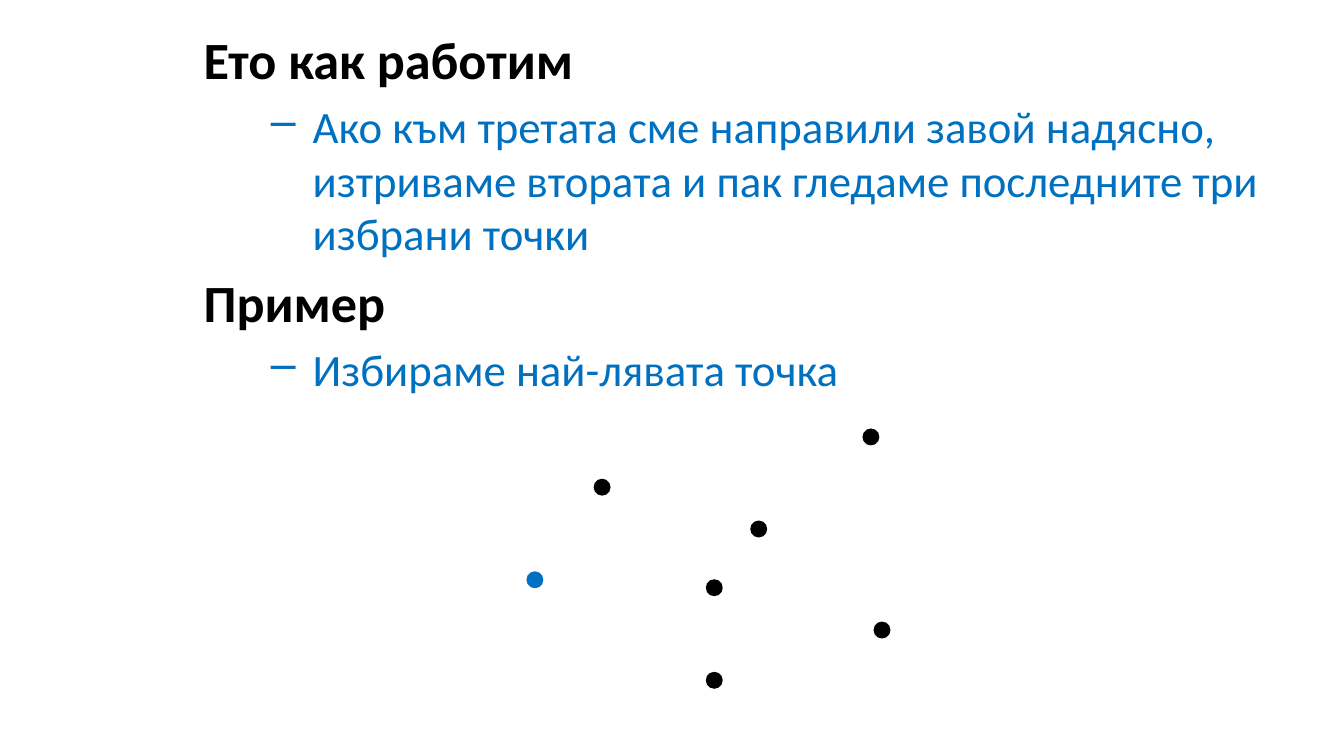
"""Build a slide on the convex hull steps with a text block and sample points."""
from typing import NamedTuple

import lxml.etree
import pptx
import pptx.dml.color
import pptx.enum.shapes
import pptx.oxml.ns
import pptx.util

Cm = pptx.util.Cm
Pt = pptx.util.Pt
BLACK = "000000"
BLUE = "0070C0"
SIZE = 0.32
HEAD = {"size": Pt(28), "bold": True, "name": "Calibri"}
ITEM = {"size": Pt(24), "bold": False, "name": "Calibri"}
FRAME = {
    "word_wrap": True,
    "margin_left": Cm(0.25),
    "margin_right": Cm(0.25),
    "margin_top": Cm(0.13),
    "margin_bottom": Cm(0.13),
}


class Line(NamedTuple):
    text: str
    level: int = 0


class Dot(NamedTuple):
    left: float
    top: float
    color: str = BLACK


LINES = [
    Line("Ето как работим"),
    Line("Ако към третата сме направили завой надясно, изтриваме втората "
         "и пак гледаме последните три избрани точки", 1),
    Line("Пример"),
    Line("Избираме най-лявата точка", 1),
]
DOTS = [
    Dot(14.18, 9.84),
    Dot(11.22, 9.05),
    Dot(9.95, 10.8, BLUE),
    Dot(13.34, 12.7),
    Dot(16.51, 11.75),
    Dot(16.3, 8.1),
    Dot(13.34, 10.95),
]


def paint(target, color: str) -> None:
    target.rgb = pptx.dml.color.RGBColor.from_string(color)


def style(target, values: dict) -> None:
    for name, value in values.items():
        setattr(target, name, value)


def add_dash(para) -> None:
    props = para._p.get_or_add_pPr()
    props.set("marL", str(Cm(2.06)))
    props.set("indent", str(Cm(-0.79)))
    dash = lxml.etree.SubElement(props, pptx.oxml.ns.qn("a:buChar"))
    dash.set("char", "–")


def add_text(slide, lines: list[Line]) -> None:
    box = slide.shapes.add_textbox(Cm(3.6), Cm(0.38), Cm(21.8), Cm(13.13))
    frame = box.text_frame
    style(frame, FRAME)
    for index, line in enumerate(lines):
        para = frame.add_paragraph() if index else frame.paragraphs[0]
        form = ITEM if line.level else HEAD
        if line.level:
            para.level = line.level
            add_dash(para)
        if index:
            para.space_before = Pt(form["size"].pt * 0.2)
        run = para.add_run()
        run.text = line.text
        style(run.font, form)
        paint(run.font.color, BLUE if line.level else BLACK)


def add_dot(slide, dot: Dot) -> None:
    shape = slide.shapes.add_shape(
        pptx.enum.shapes.MSO_SHAPE.OVAL,
        Cm(dot.left), Cm(dot.top), Cm(SIZE), Cm(SIZE))
    shape.shadow.inherit = False
    shape.fill.solid()
    paint(shape.fill.fore_color, dot.color)
    shape.line.fill.background()


def main() -> None:
    deck = pptx.Presentation()
    style(deck, {"slide_width": Cm(25.4), "slide_height": Cm(14.29)})
    slide = deck.slides.add_slide(deck.slide_layouts[6])
    add_text(slide, LINES)
    for dot in DOTS:
        add_dot(slide, dot)
    deck.save("out.pptx")


if __name__ == "__main__":
    main()
